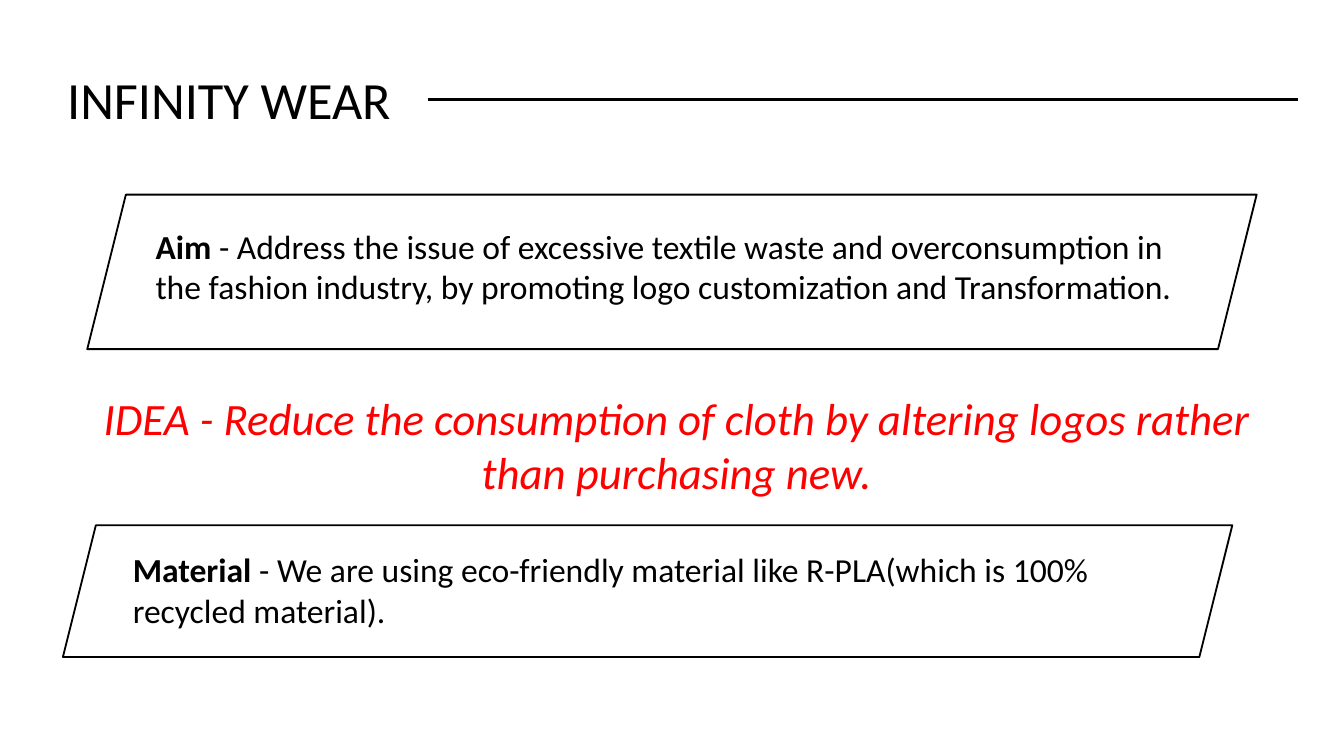
from lxml import etree
from pptx import Presentation
from pptx.dml.color import RGBColor
from pptx.enum.shapes import MSO_CONNECTOR, MSO_SHAPE
from pptx.enum.text import PP_ALIGN
from pptx.oxml.ns import qn
from pptx.util import Cm, Pt

STRAIGHT = MSO_CONNECTOR.STRAIGHT
PARALLELOGRAM = MSO_SHAPE.PARALLELOGRAM
LEFT, CENTER = PP_ALIGN.LEFT, PP_ALIGN.CENTER

FONT = "Calibri"
BLACK, RED = "000000", "FF0000"
TITLE = {"size": Pt(28)}
IDEA = {"size": Pt(24), "italic": True}
BODY = {"size": Pt(18), "bold": False}
LABEL = {**BODY, "bold": True}

TEXTS = [
    ((1.02, 1.14, 16.97, 1.45), LEFT, BLACK, [("INFINITY WEAR", TITLE)]),
    ((1.19, 7.26, 23.19, 2.31), CENTER, RED, [
        ("IDEA - Reduce the consumption of cloth by altering logos "
         "rather than purchasing new.", IDEA)]),
]
PANELS = [
    ((1.65, 3.68, 22.1, 2.92), (2.69, 4.14), "Aim",
     " - Address the issue of excessive textile waste and overconsumption in "
     "the fashion industry, by promoting logo customization and Transformation."),
    ((1.19, 9.93, 22.1, 2.49), (2.26, 10.26), "Material",
     " - We are using eco-friendly material like R-PLA(which is 100% "
     "recycled material)."),
]
PANEL_TEXT_SIZE = (19.99, 2.57)
TITLE_RULE = (8.08, 1.88, 24.54, 1.88)


def color(value):
    return RGBColor.from_string(value)


def lengths(values):
    return [Cm(value) for value in values]


def add_text(page, area, alignment, ink, spans):
    box = page.shapes.add_textbox(*lengths(area))
    box.text_frame.word_wrap = True
    para = box.text_frame.paragraphs[0]
    para.alignment = alignment
    for words, formats in spans:
        span = para.add_run()
        span.text = words
        span.font.color.rgb = color(ink)
        for name, value in {"name": FONT, **formats}.items():
            setattr(span.font, name, value)


def add_rule(page, ends):
    rule = page.shapes.add_connector(STRAIGHT, *lengths(ends))
    rule.line.color.rgb = color(BLACK)
    rule.line.width = Pt(1.5)
    etree.SubElement(rule._element.spPr, qn("a:effectLst"))


def add_panel(page, area, corner, label, words):
    panel = page.shapes.add_shape(PARALLELOGRAM, *lengths(area))
    panel.shadow.inherit = False
    panel.fill.background()
    panel.line.color.rgb = color(BLACK)
    panel.line.width = Pt(1)
    add_text(page, corner + PANEL_TEXT_SIZE, LEFT, BLACK,
             [(label, LABEL), (words, BODY)])


def main():
    deck = Presentation()
    deck.slide_width, deck.slide_height = Cm(25.4), Cm(14.29)
    page = deck.slides.add_slide(deck.slide_layouts[6])
    for text in TEXTS:
        add_text(page, *text)
    add_rule(page, TITLE_RULE)
    for panel in PANELS:
        add_panel(page, *panel)
    deck.save("out.pptx")


if __name__ == "__main__":
    main()
